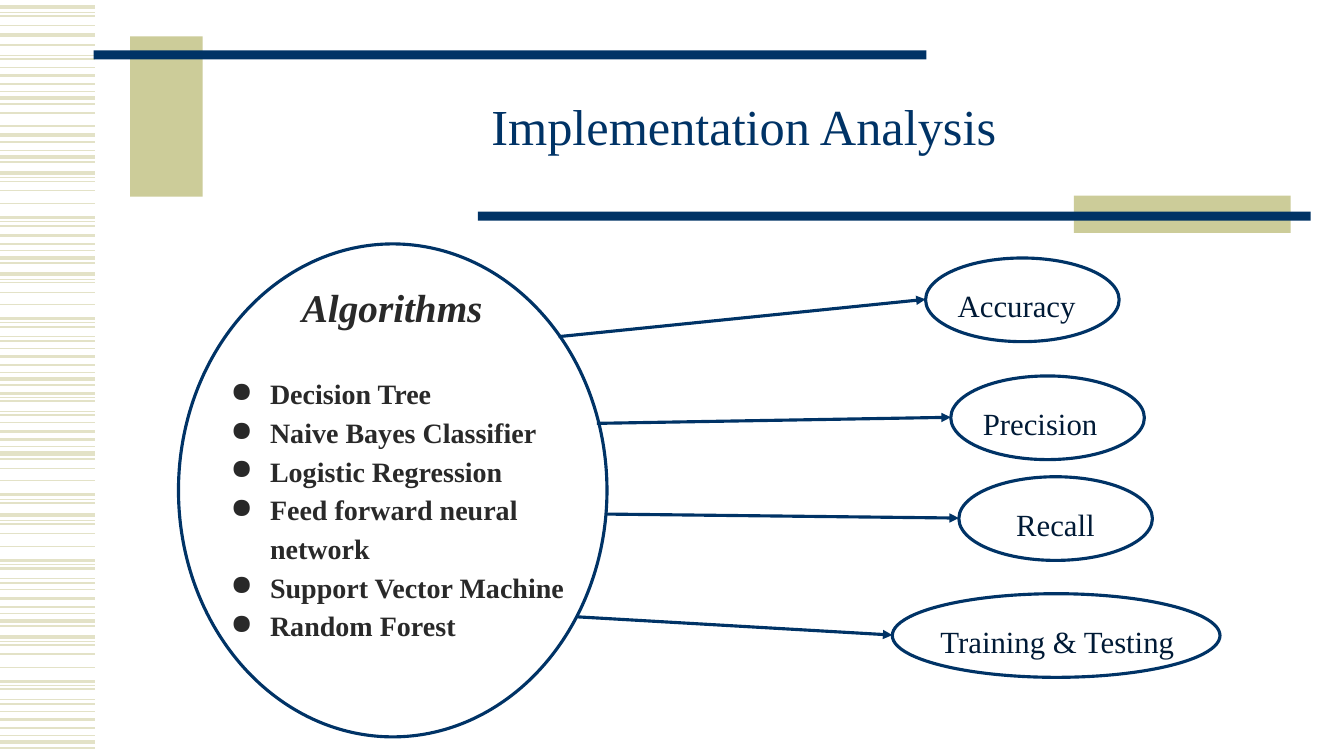
from pptx import Presentation
from pptx.dml.color import RGBColor
from pptx.enum.shapes import MSO_CONNECTOR, MSO_SHAPE
from pptx.enum.text import MSO_ANCHOR, MSO_AUTO_SIZE, PP_ALIGN
from pptx.oxml.ns import qn
from pptx.util import Pt
from lxml.etree import SubElement

# Content
TITLE = "Implementation Analysis"
HEADING = "Algorithms"
ALGORITHMS = [
    "Decision Tree",
    "Naive Bayes Classifier",
    "Logistic Regression",
    "Feed forward neural network",
    "Support Vector Machine",
    "Random Forest",
]
# Name, oval (left, top, width), text (left, width), arrow start (x, y)
METRICS = [
    ("Accuracy", (918, 256, 192), (940, 149), (554, 334)),
    ("Precision", (943, 373, 192), (965, 149), (592, 420)),
    ("Recall", (951, 473, 192), (998, 149), (602, 510)),
    ("Training & Testing", (885, 589, 325), (923, 296), (573, 612)),
]

# Look
EMU_PER_PX = 9144  # 100 px to the inch
FONT = "Times New Roman"
COLORS = {"navy": "003366", "khaki": "CCCC99", "stripe": "E3E2C7",
          "white": "FFFFFF", "metric": "001A36", "algorithm": "292929"}
OVAL_HEIGHT = 83
OUTLINE = 2.25
STRIPE_WIDTH = 94
# Line weight in points: heights of the stripes down the left edge
STRIPES = {
    0.75: [12, 55, 91, 149, 176, 220, 249, 277, 320, 334, 370, 394, 408, 443,
           496, 516, 560, 574, 609, 636, 680, 694, 730],
    1: [16, 25, 67, 112, 125, 180, 189, 202, 280, 290, 302, 346, 419, 465,
        477, 520, 529, 542, 585, 640, 649, 662, 706],
    1.5: [45, 59, 83, 103, 141, 161, 224, 242, 261, 324, 338, 362, 382, 398,
          412, 436, 455, 499, 564, 578, 602, 621, 684, 698, 722, 742],
    2.25: [75, 134, 216, 234, 316, 354, 390, 428, 491, 556, 594, 676, 714],
    3: [7, 35, 97, 156, 172, 256, 272, 376, 450, 511, 616, 632, 736],
}
BARS = [
    ((129, 36, 72, 159), "khaki"),
    ((93, 50, 826, 9), "navy"),
    ((1065, 194, 215, 37), "khaki"),
    ((474, 210, 826, 9), "navy"),
]


def px(*lengths):
    return [length * EMU_PER_PX for length in lengths]


def color(name):
    return RGBColor.from_string(COLORS[name])


def add_block(kind, box, fill, outline=None):
    block = slide.shapes.add_shape(kind, *px(*box))
    block.shadow.inherit = False
    block.fill.solid()
    block.fill.fore_color.rgb = color(fill)
    if outline:
        block.line.color.rgb = color(outline)
        block.line.width = Pt(OUTLINE)
    else:
        block.line.fill.background()


def add_line(start, end, tint, weight, arrow=False):
    line = slide.shapes.add_connector(MSO_CONNECTOR.STRAIGHT, *px(*start, *end))
    line.line.color.rgb = color(tint)
    line.line.width = Pt(weight)
    if arrow:
        SubElement(line.line._get_or_add_ln(), qn("a:tailEnd"), type="triangle")
    SubElement(line._element.spPr, qn("a:effectLst"))


def set_font(paragraph, size, tint, bold=False, italic=False):
    font = paragraph.font
    font.name, font.size = FONT, Pt(size)
    font.bold, font.italic = bold, italic
    font.color.rgb = color(tint)


def add_text(box, lines, size, tint, align=PP_ALIGN.LEFT, **style):
    frame = slide.shapes.add_textbox(*px(*box)).text_frame
    frame.word_wrap = True
    (frame.margin_left, frame.margin_top,
     frame.margin_right, frame.margin_bottom) = px(10, 10, 10, 10)
    frame.text = "\n".join(lines)
    for paragraph in frame.paragraphs:
        paragraph.alignment = align
        paragraph.line_spacing = 1.15
        set_font(paragraph, size, tint, **style)
    return frame


def add_bullet(paragraph):
    properties = paragraph._p.get_or_add_pPr()
    indent, hanging = px(50, -39)
    properties.set("marL", str(indent))
    properties.set("indent", str(hanging))
    # Bullet elements come after line spacing and before run defaults
    bullet = SubElement(properties, qn("a:buChar"), char="●")
    properties.find(qn("a:lnSpc")).addnext(bullet)


deck = Presentation()
deck.slide_width, deck.slide_height = px(1333, 750)
slide = deck.slides.add_slide(deck.slide_layouts[5])

# Stripes and bars of the background
for weight, heights in STRIPES.items():
    for y in heights:
        add_line((0, y), (STRIPE_WIDTH, y), "stripe", weight)
for box, fill in BARS:
    add_block(MSO_SHAPE.RECTANGLE, box, fill)

# Title
title = slide.shapes.title
title.left, title.top, title.width, title.height = px(200, 67, 1076, 125)
title.text_frame.text = TITLE
title.text_frame.auto_size = MSO_AUTO_SIZE.NONE
title.text_frame.vertical_anchor = MSO_ANCHOR.MIDDLE
heading = title.text_frame.paragraphs[0]
heading.alignment = PP_ALIGN.CENTER
heading.line_spacing = 0.85
set_font(heading, 36, "navy")

# Algorithms
add_block(MSO_SHAPE.OVAL, (177, 242, 425, 489), "white", "navy")
algorithms = add_text((208, 359, 410, 286), ALGORITHMS, 20, "algorithm", bold=True)
for algorithm in algorithms.paragraphs:
    add_bullet(algorithm)
add_text((184, 264, 410, 67), [HEADING], 28, "algorithm",
         PP_ALIGN.CENTER, bold=True, italic=True)

# Metrics, each with its arrow
for name, (left, top, width), (text_left, text_width), start in METRICS:
    add_block(MSO_SHAPE.OVAL, (left, top, width, OVAL_HEIGHT), "white", "navy")
    add_text((text_left, top + 13, text_width, 57), [name], 22, "metric")
    add_line(start, (left, top + OVAL_HEIGHT // 2), "navy", OUTLINE, arrow=True)

deck.save("out.pptx")
